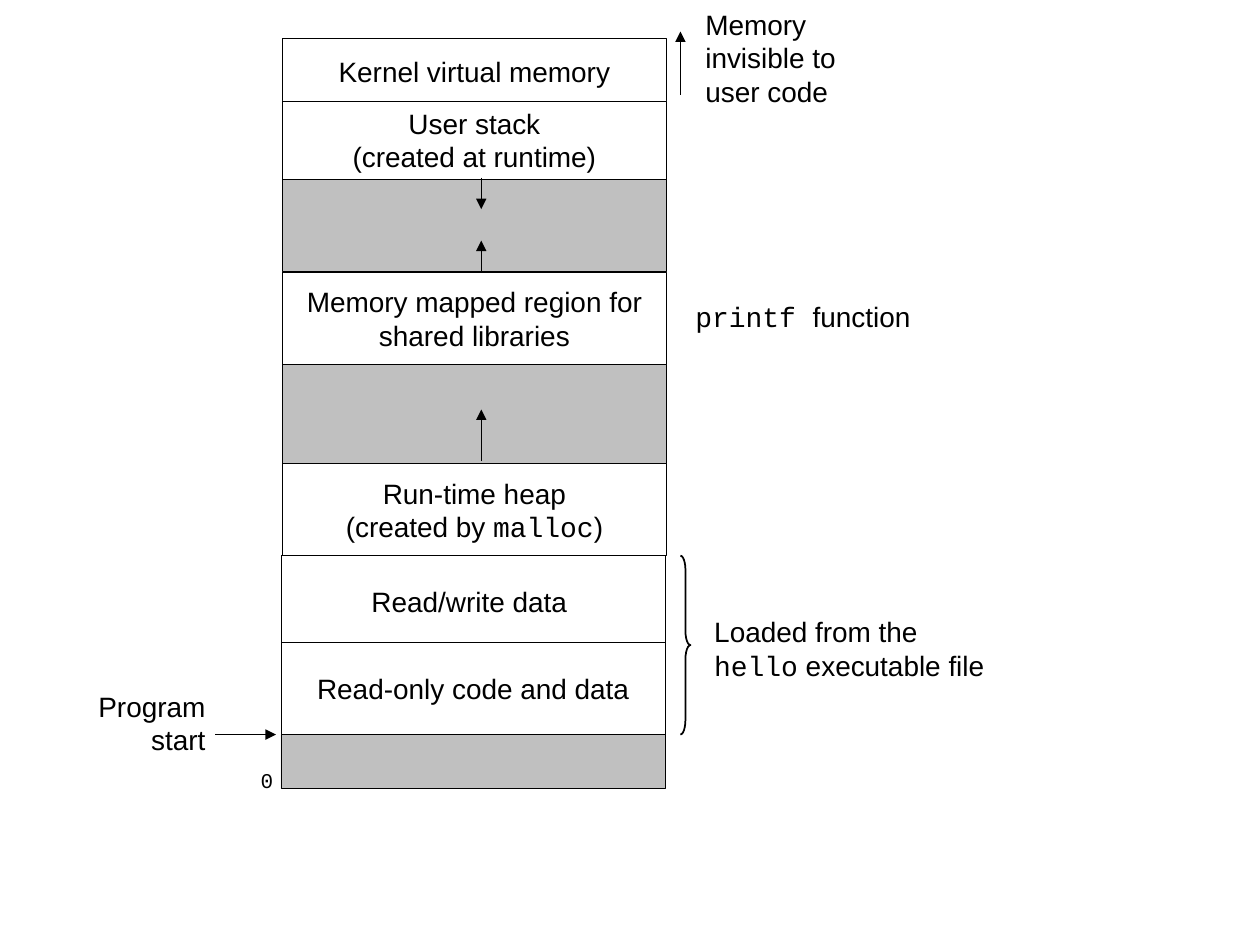
from lxml.etree import SubElement as Sub
from pptx import Presentation
from pptx.dml.color import RGBColor
from pptx.enum.shapes import MSO_CONNECTOR as Conn, MSO_SHAPE as Shape
from pptx.enum.text import MSO_ANCHOR as Anchor, MSO_AUTO_SIZE as Auto, PP_ALIGN as Align
from pptx.oxml.ns import qn
from pptx.util import Inches, Pt

COLS, ROWS = 100, 75
WIDE, HIGH = Inches(10), Inches(7.5)
INK, PAPER, GAP = "000000", "FFFFFF", "C0C0C0"
SANS, MONO = "Arial", "Courier New"


def hue(code):
    """Turn a hex string into a colour."""
    return RGBColor.from_string(code)


def place(box, x, y):
    """Turn grid columns and rows within a box into slide lengths."""
    return int((box[0] + x) * WIDE / COLS), int((box[1] + y) * HIGH / ROWS)


def area(box, x, y, w, h):
    """Give the slide position and size of a part of a box."""
    return *place(box, x, y), *place((0, 0), w, h)


def write(frame, lines, align=Align.LEFT, size=16):
    """Fill a frame with lines, each a list of (text, font) runs."""
    frame.word_wrap = False
    for i, line in enumerate(lines):
        para = frame.paragraphs[0] if i == 0 else frame.add_paragraph()
        para.alignment = align
        for text, face in line:
            run = para.add_run()
            run.text = text
            run.font.name, run.font.size = face, Pt(size)
            run.font.color.rgb = hue(INK)


def label(slide, spot, lines, align=Align.LEFT, size=16):
    """Add a free text label."""
    frame = slide.shapes.add_textbox(*spot).text_frame
    write(frame, lines, align, size)
    frame.auto_size = Auto.SHAPE_TO_FIT_TEXT


def arrow(slide, start, end, width=0.25):
    """Draw a straight line with a triangle at its end."""
    line = slide.shapes.add_connector(Conn.STRAIGHT, *start, *end)
    line.line.color.rgb = hue(INK)
    line.line.width = Pt(width)
    Sub(line.line._get_or_add_ln(), qn("a:tailEnd"), type="triangle")
    Sub(line._element.spPr, qn("a:effectLst"))


def band(slide, spot, lines, fill):
    """Draw one memory region with centred text."""
    rect = slide.shapes.add_shape(Shape.RECTANGLE, *spot)
    rect.shadow.inherit = False
    rect.fill.solid()
    rect.fill.fore_color.rgb = hue(fill)
    rect.line.color.rgb = hue(INK)
    rect.line.width = Pt(0.25)
    rect.text_frame.vertical_anchor = Anchor.MIDDLE
    write(rect.text_frame, lines, Align.CENTER)


def stack(slide, box):
    """Draw the memory regions and the ways they grow."""
    upper, lower = 0.1, 0
    bands = [
        (upper, 0, 5.3, PAPER, [[("Kernel virtual memory", SANS)]]),
        (upper, 8.6, 9.9, GAP, []),
        (upper, 18.6, 7.3, PAPER, [[("Memory mapped region for", SANS)],
                                   [("shared libraries", SANS)]]),
        (upper, 25.9, 7.9, GAP, []),
        (upper, 33.8, 7.3, PAPER, [[("Run-time heap", SANS)],
                                   [("(created by ", SANS), ("malloc", MONO), (")", SANS)]]),
        (upper, 5, 6.2, PAPER, [[("User stack", SANS)],
                                [("(created at runtime)", SANS)]]),
        (lower, 55.3, 4.3, GAP, []),
        (lower, 41.1, 7.3, PAPER, [[("Read/write data ", SANS)]]),
        (lower, 48, 7.3, PAPER, [[("Read-only code and data", SANS)]]),
    ]
    for x, y, h, fill, lines in bands:
        band(slide, area(box, x, y, box[2] - upper, h), lines, fill)
    for start, end in ((33.6, 29.5), (18.6, 16.1), (11.1, 13.6)):
        arrow(slide, place(box, 15.9, start), place(box, 15.9, end))


def notes(slide, box):
    """Draw the remarks to the right of the regions."""
    arrow(slide, place(box, 0, 7.4), place(box, 0, 2.4))
    label(slide, area(box, 1, 0, 12.4, 9),
          [[(text, SANS)] for text in ("Memory", "invisible to", "user code")])
    label(slide, area(box, 0.2, 23.2, 19.1, 3.7),
          [[("printf ", MONO), ("function", SANS)]])
    brace = slide.shapes.add_shape(Shape.RIGHT_BRACE, *area(box, 0, 44, 0.8, 14.2))
    brace.shadow.inherit = False
    brace.fill.background()
    brace.line.color.rgb = hue(INK)
    brace.line.width = Pt(1)
    brace.adjustments[0] = 1.42
    label(slide, area(box, 1.7, 48.2, 23.5, 6.4),
          [[("Loaded from the", SANS)],
           [("hello", MONO), (" executable file", SANS)]])


def entry(slide, box):
    """Draw the marks to the left of the lowest regions."""
    label(slide, area(box, 0, 0, 10.6, 6.4),
          [[("Program", SANS)], [("start", SANS)]], Align.RIGHT)
    arrow(slide, place(box, 10.4, 4.1), place(box, 15.2, 4.1), 1)
    label(slide, area(box, 13, 6.2, 3, 3), [[("0", MONO)]], size=12)


def main():
    """Build the slide and save it."""
    deck = Presentation()
    deck.slide_width, deck.slide_height = WIDE, HIGH
    slide = deck.slides.add_slide(deck.slide_layouts[6])
    stack(slide, (22.3, 3, 30.6, 59.6))
    notes(slide, (54, 0.1, 25.2, 58.2))
    entry(slide, (6.7, 54.2, 16, 9.2))
    deck.save("out.pptx")


if __name__ == "__main__":
    main()
